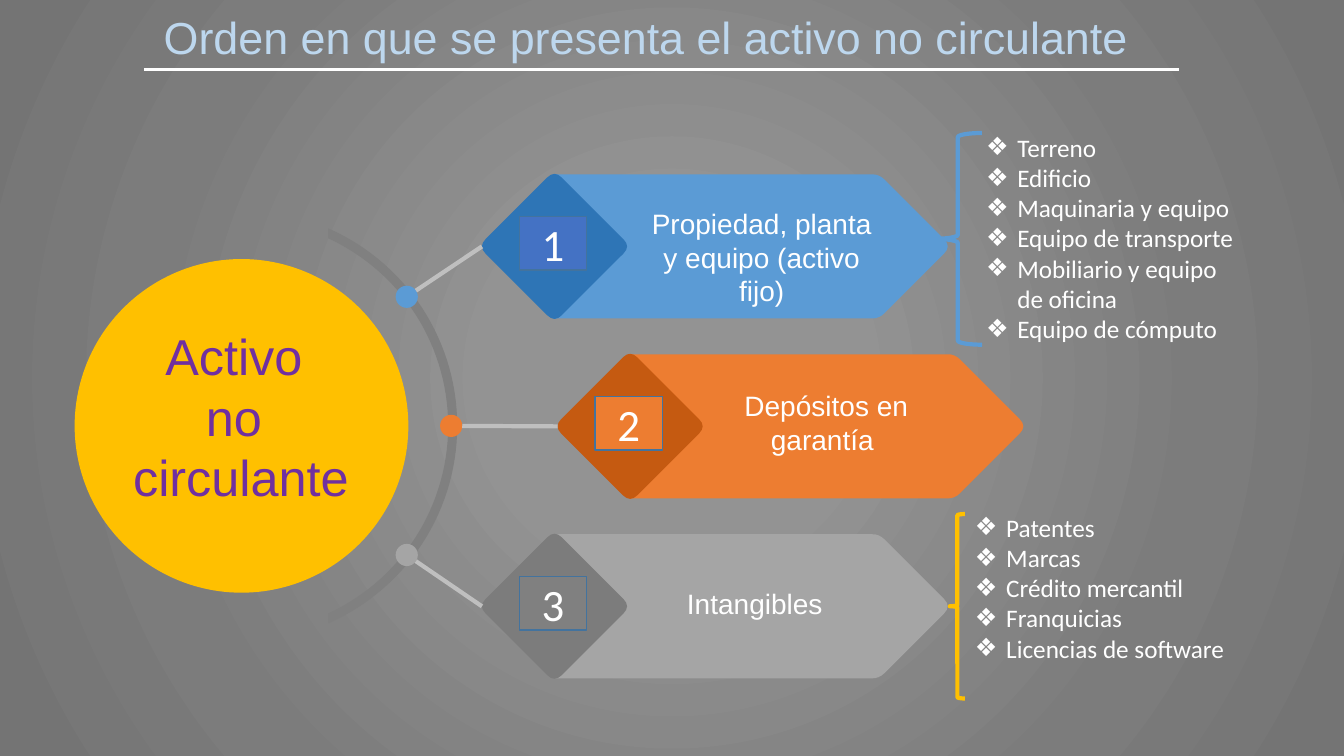
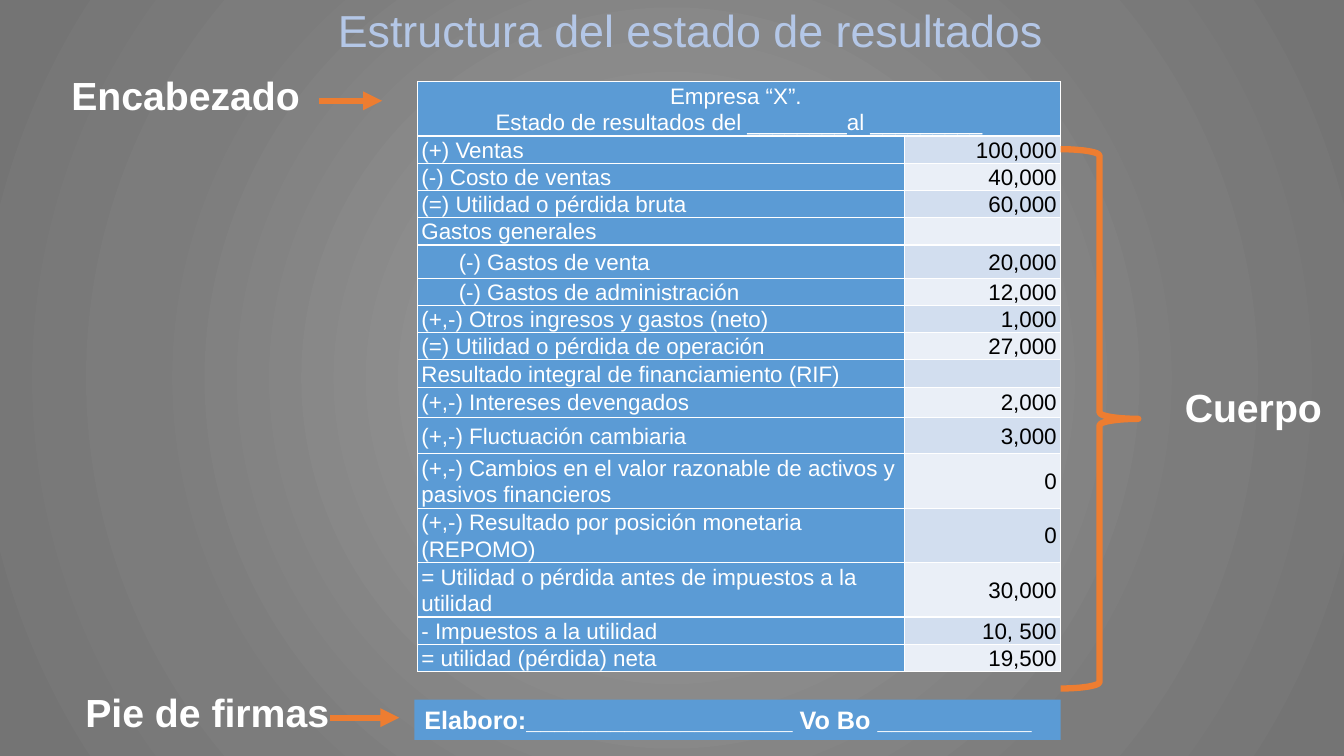
import math

import lxml.etree
import pptx
import pptx.dml.color
import pptx.enum.shapes
import pptx.enum.text
import pptx.oxml
import pptx.oxml.ns
import pptx.util

Inches = pptx.util.Inches
Pt = pptx.util.Pt
qn = pptx.oxml.ns.qn
SHAPE = pptx.enum.shapes.MSO_SHAPE
ALIGN = pptx.enum.text.PP_ALIGN
ANCHOR = pptx.enum.text.MSO_ANCHOR
NS = 'xmlns:a="http://schemas.openxmlformats.org/drawingml/2006/main"'

WHITE, BLUE, ORANGE, GRAY, GOLD = "FFFFFF", "5B9BD5", "ED7D31", "A5A5A5", "FFC000"
STOPS = [(0, "939393"), (23, "939393"), (69, "7C7C7C"), (97, "747474")]

TITLE = {"size": Pt(32), "name": "Arial"}
HUB = {"size": Pt(36), "name": "Arial"}
LABEL = {"size": Pt(20), "name": "Arial"}
LIST = {"size": Pt(18), "name": "Calibri"}
NUMBER = {"size": Pt(32), "name": "Calibri"}
CELL = {"size": Pt(16), "name": "Arial"}
SIGN = {"size": Pt(18), "name": "Arial", "bold": True}
PART = {"size": Pt(28), "name": "Arial", "bold": True}
MARGINS = {"margin_left": Inches(0.04), "margin_right": Inches(0.04),
           "margin_top": 0, "margin_bottom": 0, "vertical_anchor": ANCHOR.MIDDLE}

STEPS = [
    {"x": 4.78, "text": "Propiedad, planta y equipo (activo fijo)", "at": (1.48, 0.27),
     "fill": BLUE, "dark": "2E75B6", "box": "4472C4"},
    {"x": 5.53, "text": "Depósitos en garantía ", "at": (1.37, 0.29),
     "fill": ORANGE, "dark": "C55A11", "box": ORANGE},
    {"x": 4.78, "text": "Intangibles ", "at": (1.45, 0.47),
     "fill": GRAY, "dark": "7C7C7C", "box": "808080"},
]
ASSETS = ["Terreno", "Edificio", "Maquinaria y equipo", "Equipo de transporte",
          "Mobiliario y equipo de oficina", "Equipo de cómputo"]
RIGHTS = ["Patentes", "Marcas", "Crédito mercantil", "Franquicias", "Licencias de software"]

HEAD = ["Empresa “X”. ", "Estado de resultados del ________al _________"]
ROWS = [
    ("(+) Ventas", "100,000", 0.27),
    ("(-) Costo de ventas", "40,000", 0.27),
    ("(=) Utilidad o pérdida bruta", "60,000", 0.27),
    ("Gastos generales", "", 0.27),
    ("(-) Gastos de venta", "20,000", 0.33),
    ("(-) Gastos de administración", "12,000", 0.27),
    ("(+,-) Otros ingresos y gastos (neto)", "1,000", 0.27),
    ("(=) Utilidad o pérdida de operación", "27,000", 0.27),
    ("Resultado integral de financiamiento (RIF)", "", 0.27),
    ("(+,-) Intereses devengados", "2,000", 0.3),
    ("(+,-) Fluctuación cambiaria", "3,000", 0.36),
    ("(+,-) Cambios en el valor razonable de activos y pasivos financieros", "0", 0.54),
    ("(+,-) Resultado por posición monetaria (REPOMO)", "0", 0.54),
    ("= Utilidad o pérdida antes de impuestos a la utilidad", "30,000", 0.54),
    ("- Impuestos a la utilidad", "10, 500", 0.27),
    ("= utilidad (pérdida) neta", "19,500", 0.27),
]


def rgb(code):
    """Turn a hex string into a colour."""
    return pptx.dml.color.RGBColor.from_string(code)


def apply(target, looks):
    """Set each format value on the target."""
    for name, value in looks.items():
        setattr(target, name, value)


def place(shape, box):
    """Move and size a shape to a box in inches."""
    apply(shape, dict(zip(("left", "top", "width", "height"), map(Inches, box))))


def write(frame, lines, font, color=WHITE, **looks):
    """Fill a text frame with formatted lines."""
    for i, line in enumerate(lines):
        para = frame.add_paragraph() if i else frame.paragraphs[0]
        apply(para, {"space_before": Pt(0), **looks})
        run = para.add_run()
        run.text = line
        apply(run.font, font)
        run.font.color.rgb = rgb(color)


def paint(shape, fill=None, line=None, width=1):
    """Give a shape a plain fill and outline."""
    shape.shadow.inherit = False
    if fill:
        shape.fill.solid()
        shape.fill.fore_color.rgb = rgb(fill)
    else:
        shape.fill.background()
    if line:
        shape.line.color.rgb = rgb(line)
        shape.line.width = Pt(width)
    else:
        shape.line.fill.background()
    return shape


def preset(slide, kind, box, **looks):
    """Add a painted preset shape."""
    return paint(slide.shapes.add_shape(kind, *map(Inches, box)), **looks)


def outline(slide, points, fill):
    """Add a closed freeform through points in inches."""
    spots = [(Inches(x), Inches(y)) for x, y in points]
    pen = slide.shapes.build_freeform(*spots[0])
    pen.add_line_segments(spots[1:], close=True)
    return paint(pen.convert_to_shape(), fill)


def soften(points, cuts):
    """Round each corner of a polygon by its cut."""
    result = []
    for i, (corner, cut) in enumerate(zip(points, cuts)):
        if not cut:
            result.append(corner)
            continue
        ends = []
        for other in (points[i - 1], points[(i + 1) % len(points)]):
            part = cut / math.dist(corner, other)
            ends.append([c + (o - c) * part for c, o in zip(corner, other)])
        for t in (0, 0.25, 0.5, 0.75, 1):
            result.append([(1 - t) ** 2 * a + 2 * t * (1 - t) * c + t * t * b
                           for a, c, b in zip(ends[0], corner, ends[1])])
    return result


def label(slide, box, lines, font, color=WHITE, wrap=False):
    """Add a centred text box."""
    frame = slide.shapes.add_textbox(*map(Inches, box)).text_frame
    frame.word_wrap = wrap
    write(frame, lines, font, color, alignment=ALIGN.CENTER)


def link(slide, start, end, color, width, arrow=False):
    """Draw a straight line, with an arrowhead if asked."""
    line = slide.shapes.add_connector(pptx.enum.shapes.MSO_CONNECTOR.STRAIGHT,
                                      *map(Inches, (*start, *end)))
    line.line.color.rgb = rgb(color)
    line.line.width = Pt(width)
    props = line.element.spPr
    if arrow:
        lxml.etree.SubElement(props.find(qn("a:ln")), qn("a:tailEnd"), type="triangle")
    lxml.etree.SubElement(props, qn("a:effectLst"))


def title(slide, box, text, color, align):
    """Place the slide title."""
    shape = slide.shapes.title
    place(shape, box)
    apply(shape.text_frame, {"word_wrap": True, "vertical_anchor": ANCHOR.TOP,
                             "auto_size": pptx.enum.text.MSO_AUTO_SIZE.NONE})
    write(shape.text_frame, [text], TITLE, color, alignment=align)


def bullets(shape, box, lines):
    """Place a bulleted list in a body placeholder."""
    place(shape, box)
    frame = shape.text_frame
    frame.auto_size = pptx.enum.text.MSO_AUTO_SIZE.NONE
    write(frame, lines, LIST)
    for para in frame.paragraphs:
        props = para._p.get_or_add_pPr()
        props.set("marL", str(Inches(0.31)))
        props.set("indent", str(-Inches(0.31)))
        lxml.etree.SubElement(props, qn("a:buChar"), char="❖")


def backdrop(master):
    """Give the master its round gradient."""
    master.background.fill.solid()
    stops = "".join(f'<a:gs pos="{at * 1000}"><a:srgbClr val="{code}"/></a:gs>'
                    for at, code in STOPS)
    fill = pptx.oxml.parse_xml(
        f'<a:gradFill {NS} rotWithShape="1"><a:gsLst>{stops}</a:gsLst><a:path path="circle">'
        '<a:fillToRect l="50000" t="50000" r="50000" b="50000"/></a:path></a:gradFill>')
    plain = master.element.xpath(".//p:bgPr/a:solidFill")[0]
    plain.getparent().replace(plain, fill)


def hub(slide, x, y, size):
    """Draw the main circle and the arc around it."""
    mid_x, mid_y = x + size / 2, y + size / 2
    arc = []
    for radius, way in ((2.14, 1), (2.05, -1)):
        sweep = math.acos(0.86 / radius)
        for i in range(-30, 31):
            turn = way * sweep * i / 30
            arc.append((mid_x + radius * math.cos(turn), mid_y + radius * math.sin(turn)))
    outline(slide, arc, "808080")
    preset(slide, SHAPE.OVAL, (x, y, size, size), fill=GOLD)
    label(slide, (x + 0.47, y + 0.61, 2.36, 1.92),
          ["Activo ", "no ", "circulante"], HUB, "7030A0")
    return mid_x, mid_y


def step(slide, y, rank, item, dot):
    """Draw one numbered tag and its link to the arc."""
    x, half, reach = item["x"], 0.715, 0.755
    mid_x, mid_y = x + 0.72, y + half
    tag = [(mid_x, y), (mid_x + 3.22, y), (mid_x + 3.935, mid_y),
           (mid_x + 3.22, y + 2 * half), (mid_x, y + 2 * half)]
    outline(slide, soften(tag, (0, 0.07, 0.1, 0.07, 0)), item["fill"])
    gem = [(mid_x, mid_y - reach), (mid_x + reach, mid_y),
           (mid_x, mid_y + reach), (mid_x - reach, mid_y)]
    outline(slide, soften(gem, [0.1] * 4), item["dark"])
    preset(slide, SHAPE.OVAL, (dot[0] - 0.11, dot[1] - 0.11, 0.22, 0.22), fill=item["fill"])
    part = 0.11 / math.dist(dot, (x, mid_y))
    start = [a + (b - a) * part for a, b in zip(dot, (x, mid_y))]
    link(slide, start, (x, mid_y), "BFBFBF", 3)
    box = preset(slide, SHAPE.RECTANGLE, (x + 0.37, y + 0.42, 0.67, 0.53),
                 fill=item["box"], line="43739E")
    write(box.text_frame, [str(rank)], NUMBER, alignment=ALIGN.CENTER)
    left, top = item["at"]
    label(slide, (x + left, y + top, 2.59, 0.77), [item["text"]], LABEL, wrap=True)


def assets(deck):
    """Build the slide on the order of fixed assets."""
    slide = deck.slides.add_slide(deck.slide_layouts[3])
    title(slide, (1.41, 0.05, 10, 0.64), "Orden en que se presenta el activo no circulante",
          "BDD7EE", ALIGN.CENTER)
    link(slide, (1.43, 0.69), (11.69, 0.69), WHITE, 1.5)
    preset(slide, SHAPE.LEFT_BRACE, (9.26, 1.32, 0.48, 2.1), line=BLUE, width=3)
    preset(slide, SHAPE.LEFT_BRACE, (9.42, 5.1, 0.15, 1.83), line=GOLD, width=3)
    mid_x, mid_y = hub(slide, 0.74, 2.57, 3.31)
    for i, item in enumerate(STEPS):
        turn = math.radians(38 * (i - 1))
        dot = (mid_x + 2.08 * math.cos(turn), mid_y + 2.08 * math.sin(turn))
        step(slide, 1.73 + 1.785 * i, i + 1, item, dot)
    bullets(slide.placeholders[1], (9.68, 1.26, 2.69, 2.22), ASSETS)
    bullets(slide.placeholders[2], (9.57, 5.03, 2.69, 1.92), RIGHTS)


def fill_cell(cell, lines, fill, color, align):
    """Write and paint one table cell."""
    apply(cell, MARGINS)
    props = cell._tc.get_or_add_tcPr()
    for side in ("L", "R", "T", "B"):
        props.append(pptx.oxml.parse_xml(
            f'<a:ln{side} {NS} w="12700"><a:solidFill><a:srgbClr val="{WHITE}"/>'
            f'</a:solidFill></a:ln{side}>'))
    cell.fill.solid()
    cell.fill.fore_color.rgb = rgb(fill)
    if any(lines):
        write(cell.text_frame, lines, CELL, color, alignment=align, line_spacing=1.07)
    else:
        lxml.etree.SubElement(cell.text_frame.paragraphs[0]._p, qn("a:endParaRPr"), sz="1600")


def report(slide, x, y):
    """Place the income statement table."""
    heights = [0.54] + [row[2] for row in ROWS]
    box = map(Inches, (x, y, 6.38, sum(heights)))
    table = slide.shapes.add_table(len(heights), 2, *box).table
    apply(table, {"first_row": False, "horz_banding": False})
    for col, width in zip(table.columns, (4.83, 1.55)):
        col.width = Inches(width)
    for row, height in zip(table.rows, heights):
        row.height = Inches(height)
    table.cell(0, 0).merge(table.cell(0, 1))
    fill_cell(table.cell(0, 0), HEAD, BLUE, WHITE, ALIGN.CENTER)
    for i, (name, value, height) in enumerate(ROWS, 1):
        cell = table.cell(i, 0)
        fill_cell(cell, [name], BLUE, WHITE, ALIGN.LEFT)
        if name.startswith("(-) Gastos"):
            cell.text_frame.paragraphs[0]._p.get_or_add_pPr().set("marL", str(Inches(0.37)))
        fill_cell(table.cell(i, 1), [value], "D2DEEF" if i % 2 else "EAEFF7",
                  "000000", ALIGN.RIGHT)


def results(deck):
    """Build the slide on the income statement."""
    slide = deck.slides.add_slide(deck.slide_layouts[5])
    title(slide, (3.25, -0.02, 7.62, 0.64), "Estructura del estado de resultados",
          "B4C7E7", ALIGN.LEFT)
    report(slide, 4.14, 0.81)
    bar = preset(slide, SHAPE.RECTANGLE, (4.11, 6.94, 6.41, 0.4), fill=BLUE)
    write(bar.text_frame, ["Elaboro:___________________ Vo Bo ___________"], SIGN,
          alignment=ALIGN.LEFT)
    for text, box in (("Encabezado", (0.59, 0.66, 2.5, 0.57)),
                      ("Cuerpo", (11.64, 3.75, 1.58, 0.57)),
                      ("Pie de firmas", (0.73, 6.78, 2.65, 0.57))):
        label(slide, box, [text], PART)
    for left, right, y in ((3.16, 3.79, 1), (3.27, 3.96, 7.12)):
        link(slide, (left, y), (right, y), ORANGE, 4.5, arrow=True)
    brace = preset(slide, SHAPE.LEFT_BRACE, (10.52, 1.48, 0.77, 5.35), line=ORANGE, width=4.5)
    brace.rotation = 180


def main():
    """Build and save the deck."""
    deck = pptx.Presentation()
    apply(deck, {"slide_width": Inches(13.33), "slide_height": Inches(7.5)})
    backdrop(deck.slide_master)
    assets(deck)
    results(deck)
    deck.save("out.pptx")


if __name__ == "__main__":
    main()
